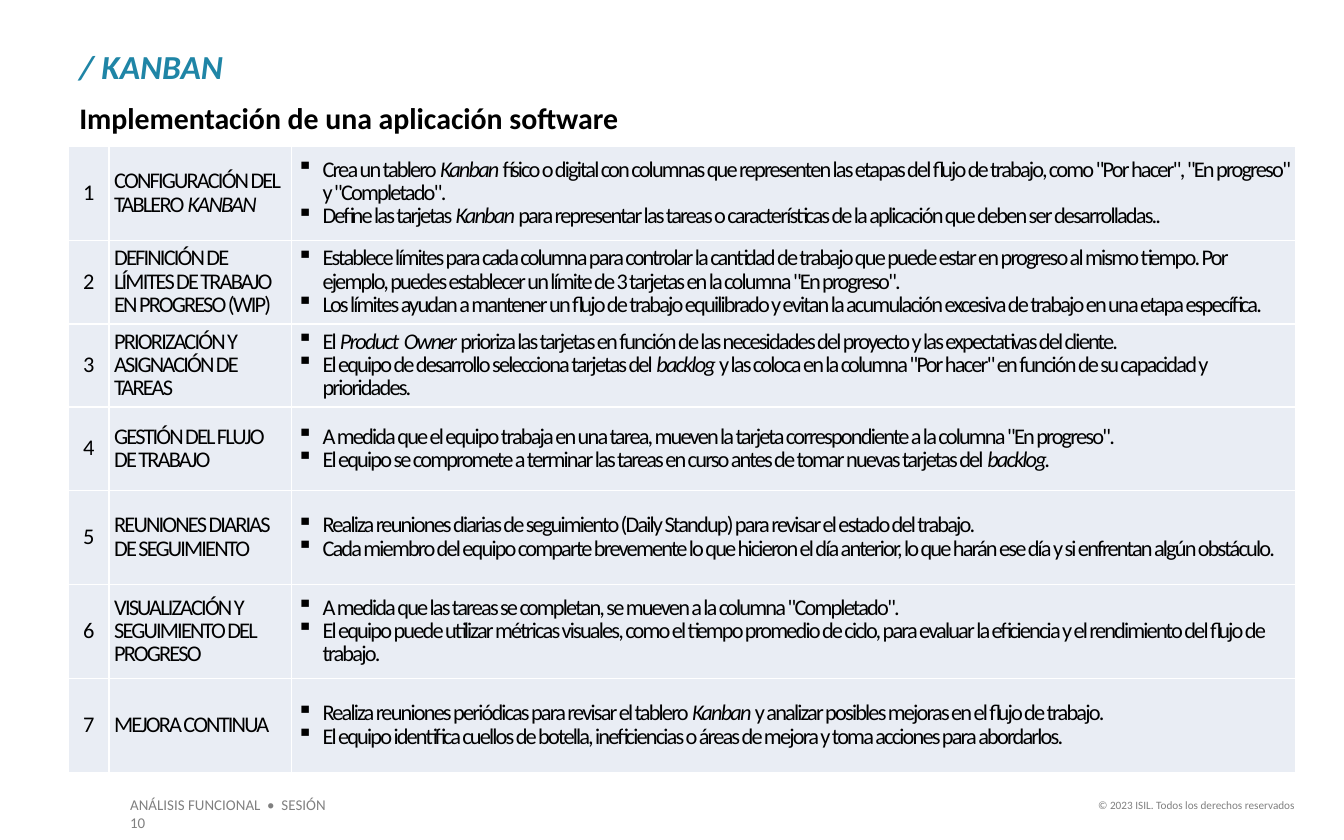
from lxml import etree
from pptx import Presentation
from pptx import util as u
from pptx.dml.color import RGBColor
from pptx.enum import text as t
from pptx.oxml import ns

PX = 9144
BLACK = RGBColor(0, 0, 0)
TEAL = RGBColor(0x1F, 0x85, 0xA6)
GRAY = RGBColor(0x80, 0x80, 0x80)
PALE = RGBColor(0xE9, 0xED, 0xF4)
LEFT, MID, RIGHT = t.PP_ALIGN.LEFT, t.PP_ALIGN.CENTER, t.PP_ALIGN.RIGHT

STEPS = [
    (70, "CONFIGURACIÓN DEL TABLERO *KANBAN*", [
        'Crea un tablero *Kanban* físico o digital con columnas que representen las etapas del flujo de trabajo, como "Por hacer", "En progreso" y "Completado".',
        "Define las tarjetas *Kanban* para representar las tareas o características de la aplicación que deben ser desarrolladas.."]),
    (62, "DEFINICIÓN DE LÍMITES DE TRABAJO EN PROGRESO (WIP)", [
        'Establece límites para cada columna para controlar la cantidad de trabajo que puede estar en progreso al mismo tiempo. Por ejemplo, puedes establecer un límite de 3 tarjetas en la columna "En progreso".',
        "Los límites ayudan a mantener un flujo de trabajo equilibrado y evitan la acumulación excesiva de trabajo en una etapa específica."]),
    (62, "PRIORIZACIÓN Y ASIGNACIÓN DE TAREAS", [
        "El *Product  Owner *prioriza las tarjetas en función de las necesidades del proyecto y las expectativas del cliente.",
        'El equipo de desarrollo selecciona tarjetas del *backlog *y las coloca en la columna "Por hacer" en función de su capacidad y prioridades.']),
    (62, "GESTIÓN DEL FLUJO DE TRABAJO", [
        'A medida que el equipo trabaja en una tarea, mueven la tarjeta correspondiente a la columna "En progreso".',
        "El equipo se compromete a terminar las tareas en curso antes de tomar nuevas tarjetas del *backlog.*"]),
    (70, "REUNIONES DIARIAS DE SEGUIMIENTO", [
        "Realiza reuniones diarias de seguimiento (Daily Standup) para revisar el estado del trabajo.",
        "Cada miembro del equipo comparte brevemente lo que hicieron el día anterior, lo que harán ese día y si enfrentan algún obstáculo."]),
    (70, "VISUALIZACIÓN Y SEGUIMIENTO DEL PROGRESO", [
        'A medida que las tareas se completan, se mueven a la columna "Completado".',
        "El equipo puede utilizar métricas visuales, como el tiempo promedio de ciclo, para evaluar la eficiencia y el rendimiento del flujo de trabajo."]),
    (70, "MEJORA CONTINUA", [
        "Realiza reuniones periódicas para revisar el tablero *Kanban *y analizar posibles mejoras en el flujo de trabajo.",
        "El equipo identifica cuellos de botella, ineficiencias o áreas de mejora y toma acciones para abordarlos."]),
]


def write(para, words, size, color, bold=False, align=LEFT, tight=False):
    para.alignment = align
    for i, part in enumerate(words.split("*")):
        if part:
            run = para.add_run()
            run.text = part
            font = run.font
            font.name = "Calibri"
            font.size = u.Pt(size)
            font.color.rgb = color
            font.bold = bold
            font.italic = i % 2 == 1
            if tight:
                font._element.set("spc", "-100")


deck = Presentation()
deck.slide_width = 1000 * PX
deck.slide_height = 625 * PX
slide = deck.slides.add_slide(deck.slide_layouts[6])

LABELS = [
    (87, 587, 179, 24, 10, 5, "ANÁLISIS FUNCIONAL  •  SESIÓN 10", 8, GRAY, False, LEFT),
    (801, 589, 172, 20, 10, 5, "© 2023 ISIL. Todos los derechos reservados", 6, GRAY, False, RIGHT),
    (51, 70, 898, 39, 8, 4, "Implementación de una aplicación software", 16, BLACK, True, LEFT),
    (51, 30, 898, 39, 8, 4, "*/ KANBAN*", 18, TEAL, True, LEFT),
]
for x, y, w, h, side, top, words, size, color, bold, align in LABELS:
    box = slide.shapes.add_textbox(x * PX, y * PX, w * PX, h * PX)
    frame = box.text_frame
    frame.word_wrap = True
    frame.margin_left = frame.margin_right = side * PX
    frame.margin_top = frame.margin_bottom = top * PX
    if size == 16:
        frame.vertical_anchor = t.MSO_ANCHOR.MIDDLE
        frame.paragraphs[0].line_spacing = 0.85
    write(frame.paragraphs[0], words, size, color, bold, align)

high = sum(step[0] for step in STEPS)
table = slide.shapes.add_table(len(STEPS), 3, 51 * PX, 109 * PX, 913 * PX, high * PX).table
table.first_row = False
table.horz_banding = False
for col, wide in zip(table.columns, (30, 136, 747)):
    col.width = wide * PX

for r, (tall, name, notes) in enumerate(STEPS):
    table.rows[r].height = tall * PX
    for c, lines in enumerate(([str(r + 1)], [name], notes)):
        cell = table.cell(r, c)
        cell.vertical_anchor = t.MSO_ANCHOR.MIDDLE
        cell.margin_left = cell.margin_right = 4 * PX
        cell.margin_top = cell.margin_bottom = 4 * PX
        props = cell._tc.get_or_add_tcPr()
        for edge in ("a:lnL", "a:lnR", "a:lnT", "a:lnB"):
            line = etree.SubElement(props, ns.qn(edge), w="12700")
            paint = etree.SubElement(line, ns.qn("a:solidFill"))
            etree.SubElement(paint, ns.qn("a:srgbClr"), val="FFFFFF")
        cell.fill.solid()
        cell.fill.fore_color.rgb = PALE
        frame = cell.text_frame
        for i, words in enumerate(lines):
            para = frame.add_paragraph() if i else frame.paragraphs[0]
            if c == 2:
                form = para._p.get_or_add_pPr()
                form.set("marL", str(19 * PX))
                form.set("indent", str(-19 * PX))
                etree.SubElement(form, ns.qn("a:buChar"), char="▪")
            para.line_spacing = 0.85
            write(para, words, 12, BLACK, align=LEFT if c else MID, tight=True)

deck.save("out.pptx")
